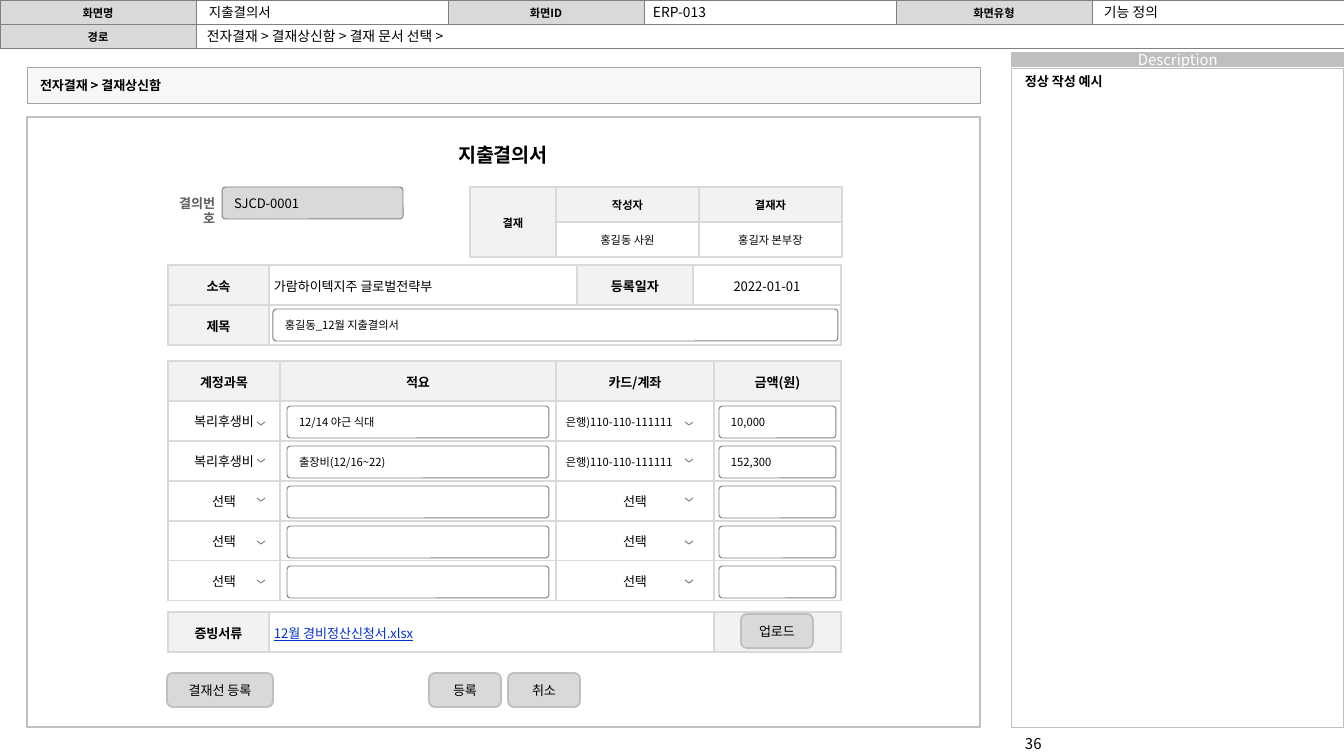
"""Build the expense report screen specification slide."""
from dataclasses import dataclass
from typing import Optional

from lxml.etree import SubElement
from pptx import Presentation
from pptx.dml.color import RGBColor
from pptx.enum.shapes import MSO_SHAPE
from pptx.enum.text import MSO_ANCHOR, PP_ALIGN
from pptx.oxml.ns import qn
from pptx.util import Pt

PX = 914400 / 134.4
FONT = "Noto Sans CJK KR"
COLORS = {
    "black": "000000", "white": "FFFFFF", "head": "F2F2F2", "button": "D9D9D9",
    "silver": "BFBFBF", "edge": "A6A6A6", "gray": "808080", "label": "5F5F5F",
    "link": "0033CC",
}
LEFT, CENTER, RIGHT = PP_ALIGN.LEFT, PP_ALIGN.CENTER, PP_ALIGN.RIGHT
TOP, MIDDLE = MSO_ANCHOR.TOP, MSO_ANCHOR.MIDDLE


@dataclass
class Block:
    x: int
    y: int
    width: int
    height: int
    text: str = ""
    size: float = 7
    bold: bool = False
    color: str = "black"
    align: PP_ALIGN = LEFT
    anchor: MSO_ANCHOR = MIDDLE
    pad: tuple[int, int] = (13, 7)
    fill: Optional[str] = None
    line: Optional[str] = None
    line_width: float = 0.5
    radius: Optional[float] = None


@dataclass
class Entry:
    text: str = ""
    size: float = 7
    bold: bool = False
    fill: Optional[str] = None
    color: str = "black"
    align: PP_ALIGN = CENTER
    indent: int = 1
    underline: bool = False


@dataclass
class Grid:
    x: int
    y: int
    columns: list[int]
    row_height: int
    rows: list[list[Entry]]
    merge: Optional[tuple[int, int, int, int]] = None
    line: str = "button"
    line_width: float = 1


def emu(pixels: float) -> int:
    return round(pixels * PX)


def rgb(name: str) -> RGBColor:
    return RGBColor.from_string(COLORS[name])


def style_text(para, text, size, bold, color, align, underline=False) -> None:
    para.alignment = align
    font = para.font
    font.size, font.bold, font.name = Pt(size), bold, FONT
    font.color.rgb = rgb(color)
    if underline:
        font.underline = True
    SubElement(para._p.pPr.find(qn("a:defRPr")), qn("a:ea"), typeface=FONT)
    if text:
        para.add_run().text = text
    else:
        SubElement(para._p, qn("a:endParaRPr"), sz=str(round(size * 100)))


def draw_block(page, block: Block):
    place = [emu(v) for v in (block.x, block.y, block.width, block.height)]
    if block.fill or block.line:
        preset = MSO_SHAPE.RECTANGLE if block.radius is None else MSO_SHAPE.ROUNDED_RECTANGLE
        shape = page.shapes.add_shape(preset, *place)
        shape.shadow.inherit = False
        if block.radius is not None:
            shape.adjustments[0] = block.radius
        if block.fill:
            shape.fill.solid()
            shape.fill.fore_color.rgb = rgb(block.fill)
        else:
            shape.fill.background()
        shape.line.color.rgb = rgb(block.line)
        shape.line.width = Pt(block.line_width)
    else:
        shape = page.shapes.add_textbox(*place)
    if block.text:
        frame = shape.text_frame
        frame.word_wrap = True
        frame.vertical_anchor = block.anchor
        frame.margin_left = frame.margin_right = emu(block.pad[0])
        frame.margin_top = frame.margin_bottom = emu(block.pad[1])
        style_text(frame.paragraphs[0], block.text, block.size, block.bold, block.color, block.align)
    return shape


def draw_cell(cell, entry: Entry, line: str, line_width: float) -> None:
    cell.margin_left, cell.margin_right = emu(entry.indent), emu(1)
    cell.margin_top, cell.margin_bottom = emu(1), 0
    cell.vertical_anchor = MIDDLE
    for side in ("lnL", "lnR", "lnT", "lnB"):
        border = SubElement(cell._tc.get_or_add_tcPr(), qn(f"a:{side}"), w=str(Pt(line_width)))
        SubElement(SubElement(border, qn("a:solidFill")), qn("a:srgbClr"), val=COLORS[line])
    if entry.fill:
        cell.fill.solid()
        cell.fill.fore_color.rgb = rgb(entry.fill)
    else:
        cell.fill.background()
    style_text(cell.text_frame.paragraphs[0], entry.text, entry.size, entry.bold,
               entry.color, entry.align, entry.underline)


def draw_grid(page, grid: Grid) -> None:
    count = len(grid.rows)
    table = page.shapes.add_table(
        count, len(grid.columns), emu(grid.x), emu(grid.y),
        emu(sum(grid.columns)), emu(grid.row_height * count)).table
    table.first_row = table.horz_banding = False
    for column, width in zip(table.columns, grid.columns):
        column.width = emu(width)
    for r, entries in enumerate(grid.rows):
        table.rows[r].height = emu(grid.row_height)
        for c, entry in enumerate(entries):
            draw_cell(table.cell(r, c), entry, grid.line, grid.line_width)
    if grid.merge:
        top, left, bottom, right = grid.merge
        table.cell(top, left).merge(table.cell(bottom, right))


def draw_chevron(page, x: int, y: int) -> None:
    builder = page.shapes.build_freeform(x + 8, y, scale=PX)
    builder.add_line_segments([(x + 4, y + 3), (x, y)], close=False)
    chevron = builder.convert_to_shape()
    chevron.shadow.inherit = False
    chevron.fill.background()
    chevron.line.color.rgb = rgb("gray")
    chevron.line.width = Pt(0.5)


def head(text: str, size: float = 7, fill: str = "head") -> Entry:
    return Entry(text, size, True, fill)


def field(x: int, y: int, width: int, text: str = "", size: float = 6, fill: str = "white") -> Block:
    return Block(x, y, width, 32, text, size, pad=(11, 4), fill=fill, line="gray", radius=0.108)


def button(x: int, y: int, width: int, text: str) -> Block:
    return Block(x, y, width, 34, text, align=CENTER, fill="button", line="silver",
                 line_width=1, radius=0.17)


def main() -> None:
    deck = Presentation()
    deck.slide_width, deck.slide_height = emu(1344), emu(756)
    page = deck.slides.add_slide(deck.slide_layouts[6])

    titles = [[head("화면명", 6, "button"), Entry(fill="white", size=6),
               head("화면ID", 6, "button"), Entry(fill="white", size=6),
               head("화면유형", 6, "button"), Entry(fill="white", size=6)],
              [head("경로", 6, "button")] + [Entry(fill="white", size=6)] * 5]
    draw_grid(page, Grid(0, 0, [196, 252] * 3, 24, titles, (1, 1, 1, 5), "gray", 0.25))

    for block in (
        Block(1012, 69, 332, 659, line="silver"),
        Block(1012, 52, 332, 15, "Description", 8, color="white", align=CENTER,
              fill="silver", line="silver"),
        Block(1012, 728, 202, 32, "36", 8, anchor=TOP),
        Block(196, 0, 254, 24, "지출결의서", 7.2),
        Block(642, 0, 251, 24, "ERP-013", 7.4, pad=(11, 5)),
        Block(1093, 0, 249, 24, "기능 정의", 7.4, pad=(11, 5)),
        Block(196, 24, 1148, 24, "전자결재 > 결재상신함 > 결재 문서 선택 >", 7.4, pad=(11, 5)),
        Block(1012, 67, 332, 659, "정상 작성 예시", bold=True, anchor=TOP),
    ):
        draw_block(page, block)

    crumb = draw_block(page, Block(27, 67, 953, 36, "전자결재 > 결재상신함", bold=True,
                                   fill="head", line="edge", line_width=0.25))
    SubElement(crumb._element.spPr.find(".//" + qn("a:srgbClr")), qn("a:alpha"), val="60000")

    for block in (
        Block(27, 117, 953, 610, fill="white", line="silver", line_width=1),
        Block(407, 136, 192, 38, "지출결의서", 10.5, True, align=CENTER),
        field(222, 187, 181, "SJCD-0001", 7, "button"),
        Block(168, 195, 47, 19, "결의번호", bold=True, color="label", align=RIGHT,
              anchor=TOP, pad=(0, 0)),
    ):
        draw_block(page, block)

    approval = [[head("결재", 6), head("작성자", 6), head("결재자", 6)],
                [head("", 6), Entry("홍길동 사원", 6), Entry("홍길자 본부장", 6)]]
    summary = [[head("소속"), Entry("가람하이텍지주 글로벌전략부", align=LEFT, indent=5),
                head("등록일자"), Entry("2022-01-01")],
               [head("제목"), Entry(), Entry(), Entry()]]
    account = Entry("은행)110-110-111111", 6, align=LEFT, indent=10)
    expenses = [("복리후생비", "12/14 야근 식대", account, "10,000"),
                ("복리후생비", "출장비(12/16~22)", account, "152,300")]
    expenses += [("선택", "", Entry("선택"), "")] * 3
    details = [[head(text) for text in ("계정과목", "적요", "카드/계좌", "금액(원)")]]
    details += [[Entry(kind), Entry(), card, Entry()] for kind, _, card, _ in expenses]
    evidence = [[head("증빙서류"),
                 Entry("12월 경비정산신청서.xlsx", color="link", align=LEFT, indent=5, underline=True),
                 head("")]]
    for grid in (
        Grid(470, 187, [86, 143, 143], 35, approval, (0, 0, 1, 0)),
        Grid(168, 265, [101, 308, 116, 148], 40, summary, (1, 1, 1, 3)),
        Grid(168, 361, [112, 276, 158, 127], 40, details),
        Grid(168, 612, [101, 445, 127], 40, evidence),
    ):
        draw_grid(page, grid)

    for row, (_, note, _, amount) in enumerate(expenses):
        draw_block(page, field(287, 406 + 40 * row, 262, note))
        draw_block(page, field(719, 406 + 40 * row, 117, amount))
    for y in (422, 459, 498, 541, 580):
        draw_chevron(page, 257, y)
        draw_chevron(page, 685, y)

    draw_block(page, field(273, 309, 565, "홍길동_12월 지출결의서"))
    for block in (button(429, 673, 72, "등록"), button(508, 673, 72, "취소"),
                  button(741, 614, 72, "업로드"), button(167, 673, 106, "결재선 등록")):
        draw_block(page, block)
    deck.save("out.pptx")


if __name__ == "__main__":
    main()
